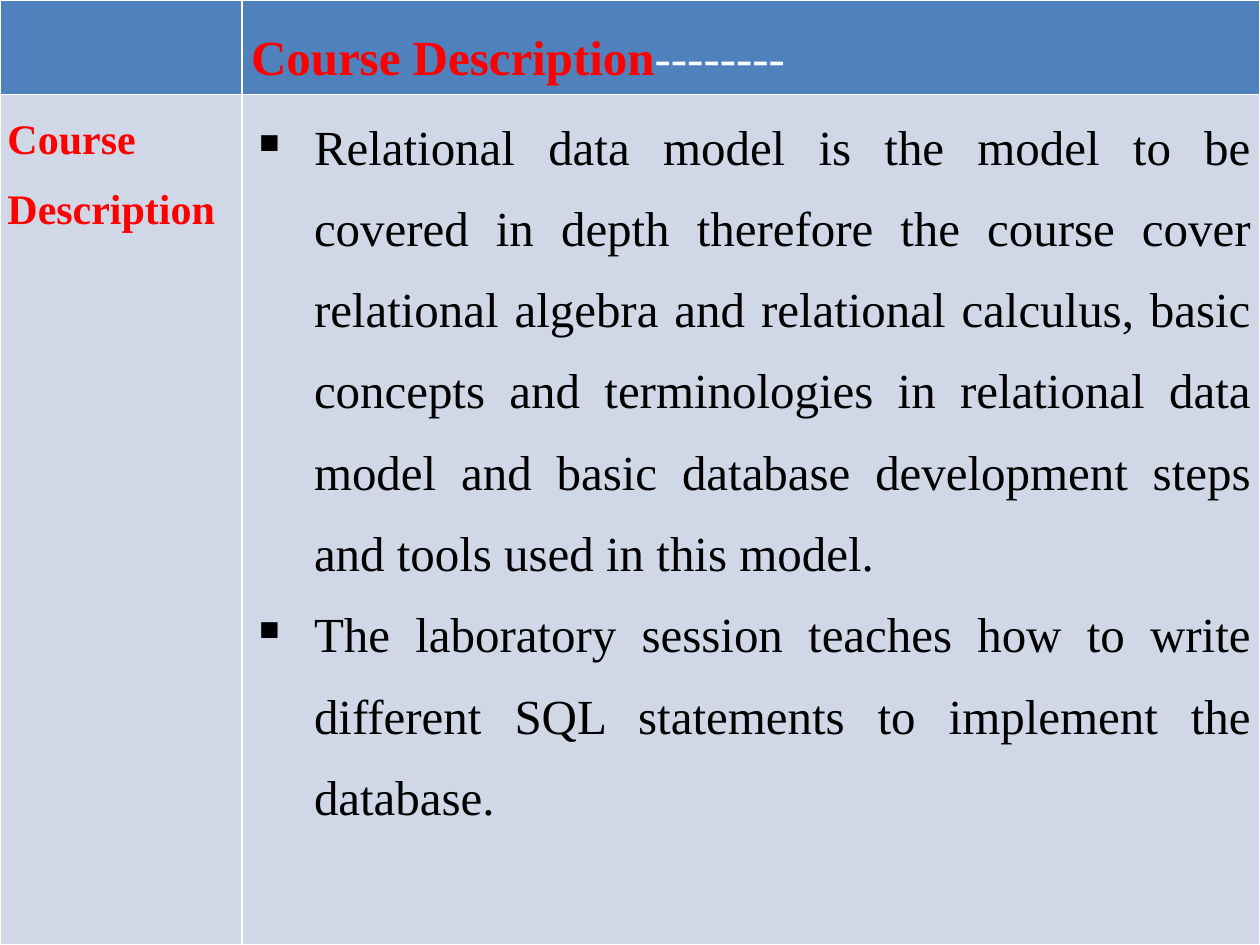
from lxml import etree
from pptx import Presentation
from pptx import util as u
from pptx.dml.color import RGBColor
from pptx.enum import text
from pptx.oxml import ns

FONT = "Times New Roman"
RED = RGBColor(0xFF, 0x00, 0x00)
WHITE = RGBColor(0xFF, 0xFF, 0xFF)
BLACK = RGBColor(0x00, 0x00, 0x00)
HEADER_BLUE = RGBColor(0x4F, 0x81, 0xBD)
BODY_BLUE = RGBColor(0xD0, 0xD8, 0xE8)

COLUMNS = [4.88, 20.52]
ROWS = [1.9, 17.15]
HANGING = u.Cm(1.27)

# A paragraph is a list of runs: (words, size, colour, bold)
HEADING = [("Course Description", 28, RED, True), ("--------", 28, WHITE, False)]
LABEL = [("Course Description", 24, RED, True)]
TOPICS = [
    "Relational data model is the model to be covered in depth therefore the "
    "course cover relational algebra and relational calculus, basic concepts and "
    "terminologies in relational data model and basic database development steps "
    "and tools used in this model.",
    "The laboratory session teaches how to write different SQL statements to "
    "implement the database.",
]

# (paragraphs, fill, side margin, top and bottom margin, bulleted)
CELLS = [
    [([], HEADER_BLUE, 0.18, 0.1, False),
     ([HEADING], HEADER_BLUE, 0.18, 0.1, False)],
    [([LABEL], BODY_BLUE, 0.15, 0, False),
     ([[(topic, 28, BLACK, False)] for topic in TOPICS], BODY_BLUE, 0.18, 0, True)],
]


def add_borders(cell, color, width):
    tcPr = cell._tc.get_or_add_tcPr()
    for side in "LRTB":
        ln = etree.SubElement(tcPr, ns.qn(f"a:ln{side}"), w=str(u.Pt(width)))
        fill = etree.SubElement(ln, ns.qn("a:solidFill"))
        etree.SubElement(fill, ns.qn("a:srgbClr"), val=str(color))


def add_bullet(p):
    pPr = p._p.get_or_add_pPr()
    pPr.set("marL", str(HANGING))
    pPr.set("indent", str(-HANGING))
    etree.SubElement(pPr, ns.qn("a:buChar"), char="▪")


def fill_cell(cell, paragraphs, fill, side, edge, bulleted):
    add_borders(cell, WHITE, 1)
    cell.fill.solid()
    cell.fill.fore_color.rgb = fill
    cell.margin_left = cell.margin_right = u.Cm(side)
    cell.margin_top = cell.margin_bottom = u.Cm(edge)
    tf = cell.text_frame
    for i, runs in enumerate(paragraphs):
        p = tf.add_paragraph() if i else tf.paragraphs[0]
        if bulleted:
            add_bullet(p)
        p.alignment = text.PP_ALIGN.JUSTIFY
        p.line_spacing = 1.5
        for words, size, color, bold in runs:
            r = p.add_run()
            r.text = words
            r.font.name = FONT
            r.font.size = u.Pt(size)
            r.font.bold = bold
            r.font.color.rgb = color


def main():
    prs = Presentation()
    prs.slide_width, prs.slide_height = u.Cm(25.4), u.Cm(19.05)
    s = prs.slides.add_slide(prs.slide_layouts[6])
    table = s.shapes.add_table(len(ROWS), len(COLUMNS), 0, 0,
                               prs.slide_width, prs.slide_height).table
    for column, width in zip(table.columns, COLUMNS):
        column.width = u.Cm(width)
    for row, height, contents in zip(table.rows, ROWS, CELLS):
        row.height = u.Cm(height)
        for cell, content in zip(row.cells, contents):
            fill_cell(cell, *content)
    prs.save("out.pptx")


if __name__ == "__main__":
    main()
